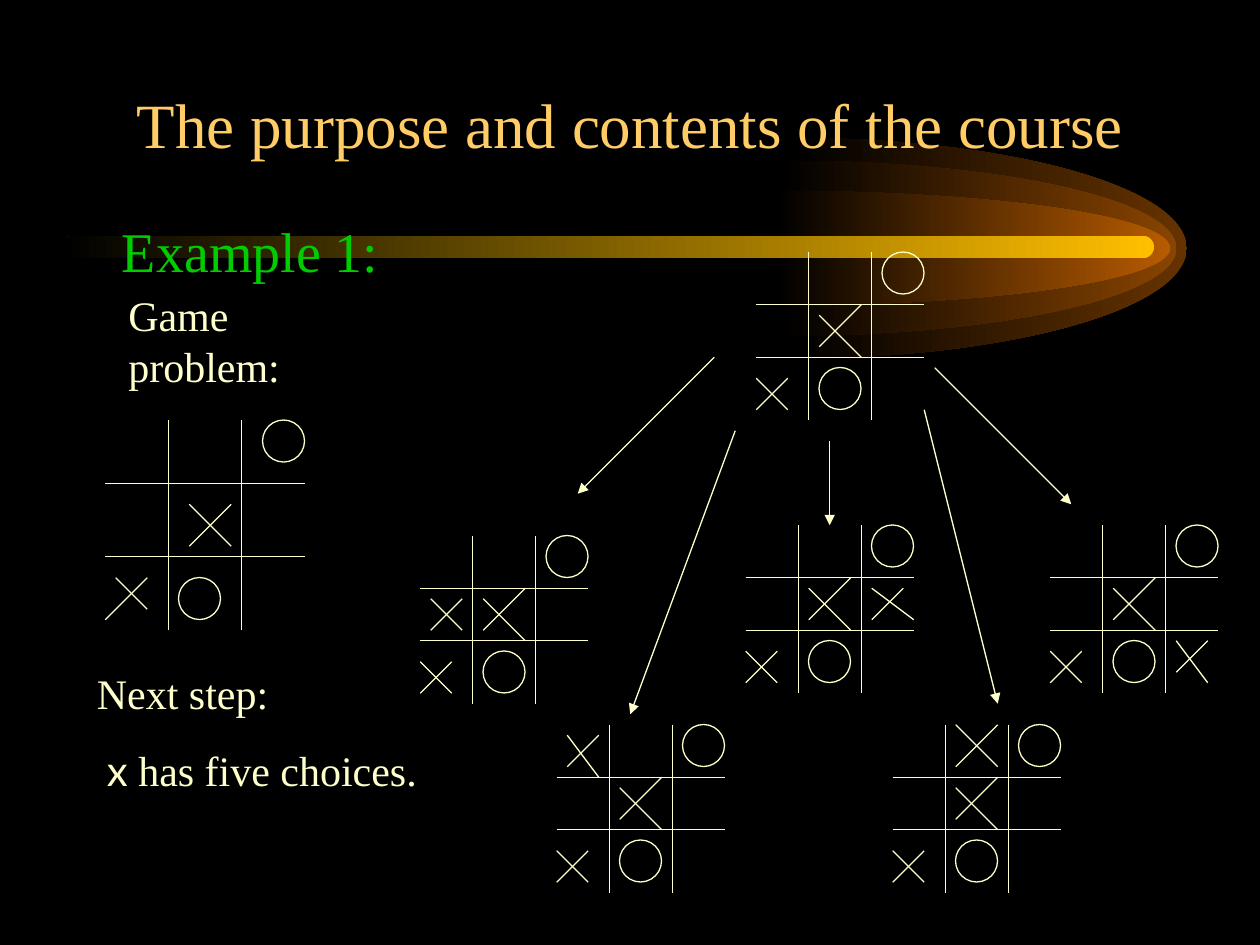
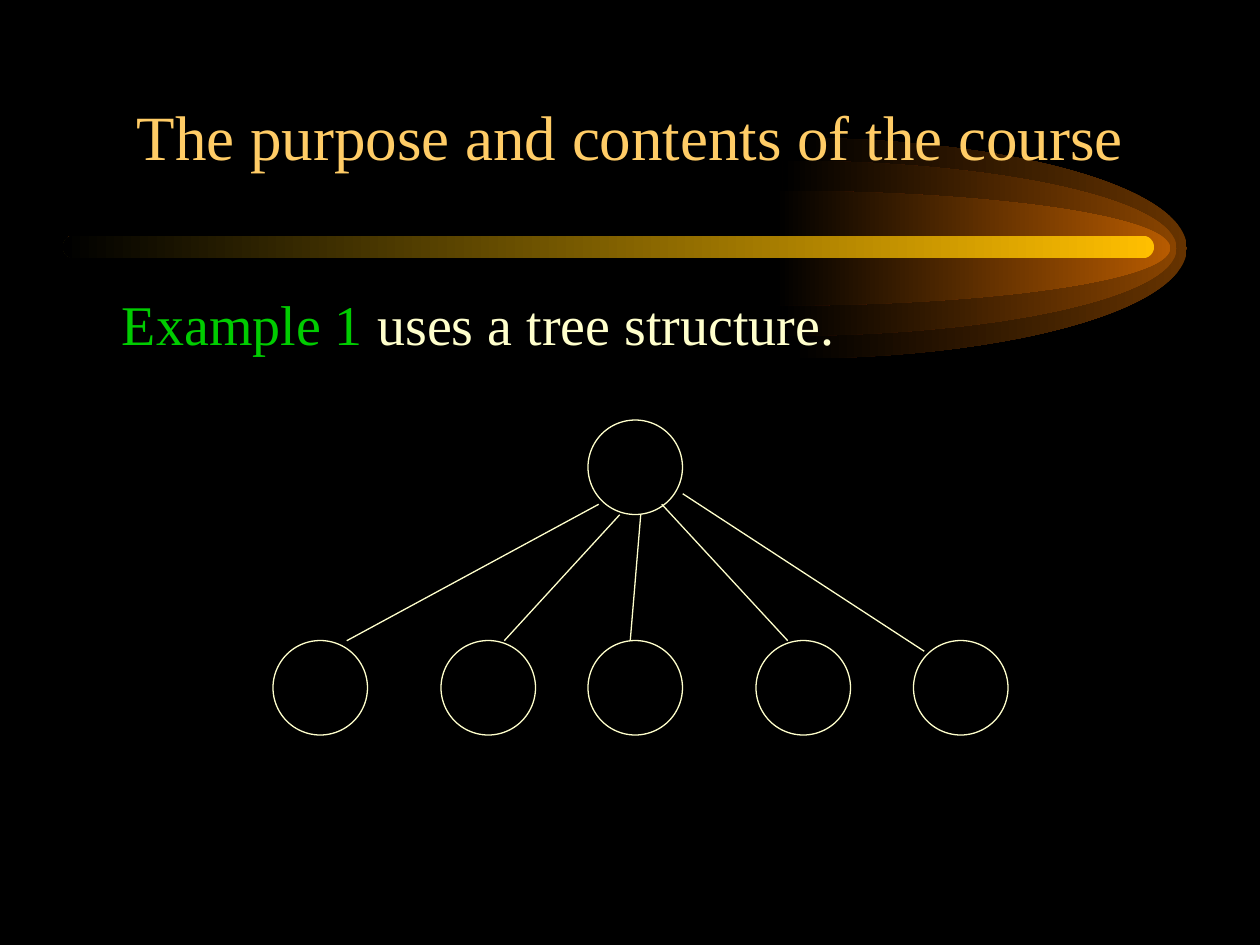
"""Two slides on game trees: tic-tac-toe choices and the tree they form."""
from pptx import Presentation
from pptx.dml.color import RGBColor
from pptx.enum.shapes import MSO_CONNECTOR, MSO_SHAPE
from pptx.enum.text import MSO_ANCHOR, PP_ALIGN
from pptx.oxml.ns import qn
from pptx.util import Inches, Pt
from lxml.etree import SubElement

BLACK = RGBColor(0x00, 0x00, 0x00)
CREAM = RGBColor(0xFF, 0xFF, 0xCC)
GREEN = RGBColor(0x00, 0xCC, 0x00)
TITLE_GOLD = RGBColor(0xFF, 0xCC, 0x66)
BAR_GOLD = RGBColor(0xFF, 0xBF, 0x00)
DARK_BROWN = RGBColor(0x66, 0x33, 0x00)
BROWN = RGBColor(0x89, 0x44, 0x00)
ORANGE = RGBColor(0xB7, 0x5B, 0x00)
SERIF = "Times New Roman"
GRID = Inches(1) / 12
LINE_WIDTH = Pt(0.75)
LINE_NUDGE = Pt(0.15)


def add_line(slide, start_x, start_y, end_x, end_y, arrow=False):
    """Draw a line between two points of the twelfth-inch grid."""
    ends = [round(value * GRID) + LINE_NUDGE for value in (start_x, start_y, end_x, end_y)]
    line = slide.shapes.add_connector(MSO_CONNECTOR.STRAIGHT, *ends)
    line.line.color.rgb = CREAM
    line.line.width = LINE_WIDTH
    properties = line._element.spPr
    if arrow:
        SubElement(properties.find(qn("a:ln")), qn("a:tailEnd"), type="triangle")
    SubElement(properties, qn("a:effectLst"))


def add_circle(slide, left, top, size):
    """Draw an open circle placed on the twelfth-inch grid."""
    box = [round(value * GRID) for value in (left, top, size, size)]
    circle = slide.shapes.add_shape(MSO_SHAPE.OVAL, *box)
    circle.shadow.inherit = False
    circle.fill.background()
    circle.line.color.rgb = CREAM
    circle.line.width = LINE_WIDTH


presentation = Presentation()
presentation.slide_width = Inches(10)
presentation.slide_height = Inches(7.5)

comet_layers = [
    (6.29, 1.75, DARK_BROWN),
    (6.21, 1.39, BROWN),
    (6.16, 0.91, ORANGE),
]
COMET_MIDDLE = 1.97
COMET_LENGTH = 3.13
ARC_PULL = 0.55

slide_texts = [
    (0.08, [
        (0.75, 1.67, 8.5, 4.5, 32, [(0.12, [("Example 1:", SERIF, GREEN)])]),
        (0.67, 5.25, 2.92, 1.11, 24, [
            (0, [("Next step:", SERIF, CREAM)]),
            (0.08, [("x", "Lato", CREAM), (" has five choices.", SERIF, CREAM)]),
        ]),
        (0.92, 2.25, 1.67, 0.9, 24, [(0, [("Game problem:", SERIF, CREAM)])]),
    ]),
    (0.17, [
        (0.75, 2.25, 8.5, 4.5, 32, [
            (0.12, [("Example 1", SERIF, GREEN), (" uses a tree structure.", SERIF, CREAM)]),
        ]),
    ]),
]

for title_top, texts in slide_texts:
    slide = presentation.slides.add_slide(presentation.slide_layouts[6])
    slide.background.fill.solid()
    slide.background.fill.fore_color.rgb = BLACK

    gradient_shapes = []
    for left, height, color in comet_layers:
        top = COMET_MIDDLE - height / 2
        builder = slide.shapes.build_freeform(Inches(left), Inches(top))
        builder.add_line_segments([
            (Inches(left + COMET_LENGTH), Inches(COMET_MIDDLE)),
            (Inches(left), Inches(top + height)),
        ])
        comet = builder.convert_to_shape()
        pull_x = COMET_LENGTH * ARC_PULL
        pull_y = height / 2 * ARC_PULL
        arcs = [
            [(pull_x, 0), (COMET_LENGTH, height / 2 - pull_y), (COMET_LENGTH, height / 2)],
            [(COMET_LENGTH, height / 2 + pull_y), (pull_x, height), (0, height)],
        ]
        outline = next(comet._element.iter(qn("a:path")))
        for segment, arc in zip(outline.findall(qn("a:lnTo")), arcs):
            curve = SubElement(outline, qn("a:cubicBezTo"))
            for x, y in arc:
                SubElement(curve, qn("a:pt"), x=str(Inches(x)), y=str(Inches(y)))
            outline.replace(segment, curve)
        gradient_shapes.append((comet, color))
    bar = slide.shapes.add_shape(
        MSO_SHAPE.ROUNDED_RECTANGLE, Inches(0.5), Inches(1.87), Inches(8.66), Inches(0.18))
    bar.adjustments[0] = 0.5
    gradient_shapes.append((bar, BAR_GOLD))
    for shape, color in gradient_shapes:
        shape.shadow.inherit = False
        shape.line.fill.background()
        shape.fill.gradient()
        shape.fill.gradient_angle = 180
        for stop, stop_color in zip(shape.fill.gradient_stops, (color, BLACK)):
            stop.color.rgb = stop_color

    title = (0.75, title_top, 8.5, 1.25, 36,
             [(0, [("The purpose and contents of the course", SERIF, TITLE_GOLD)])])
    for text in [title, *texts]:
        left, top, width, height, size, paragraphs = text
        box = slide.shapes.add_textbox(Inches(left), Inches(top), Inches(width), Inches(height))
        frame = box.text_frame
        frame.word_wrap = True
        if text is title:
            frame.vertical_anchor = MSO_ANCHOR.BOTTOM
        for index, (indent, runs) in enumerate(paragraphs):
            paragraph = frame.add_paragraph() if index else frame.paragraphs[0]
            if text is title:
                paragraph.alignment = PP_ALIGN.CENTER
            if index:
                paragraph.space_before = Pt(15)
            if indent:
                paragraph._p.get_or_add_pPr().set("marL", str(Inches(indent)))
            for words, font_name, color in runs:
                run = paragraph.add_run()
                run.text = words
                run.font.name = font_name
                run.font.size = Pt(size)
                run.font.color.rgb = color

game_slide, tree_slide = presentation.slides

problem_lines = [
    (0, 6, 19, 6), (0, 13, 19, 13), (6, 0, 6, 20), (13, 0, 13, 20),
    (8, 8, 12, 12), (12, 8, 8, 12), (1, 15, 4, 18), (4, 15, 0, 19),
]
small_lines = [
    (0, 5, 16, 5), (0, 10, 16, 10), (5, 0, 5, 16), (11, 0, 11, 16),
    (6, 6, 10, 10), (10, 5, 6, 9), (0, 12, 3, 15), (3, 12, 0, 15),
]
small_circles = [(12, 0), (6, 11)]
choices = [
    (40, 51, (68, 34, 55, 47), [(1, 6, 4, 9), (4, 6, 1, 9)]),
    (53, 69, (70, 41, 60, 68), [(1, 1, 4, 5), (4, 1, 1, 4)]),
    (85, 69, (88, 39, 95, 67), [(6, 0, 10, 4), (10, 0, 6, 4)]),
    (71, 50, (79, 42, 79, 50), [(12, 6, 16, 9), (15, 6, 12, 9)]),
    (100, 50, (89, 35, 102, 48), [(12, 11, 15, 15), (15, 11, 12, 14)]),
]
boards = [
    (10, 40, problem_lines, [(15, 0), (7, 15)]),
    (72, 24, small_lines, small_circles),
]
for left, top, arrow, new_cross in choices:
    boards.append((left, top, small_lines + new_cross, small_circles))
    add_line(game_slide, *arrow, arrow=True)
for left, top, lines, circles in boards:
    for start_x, start_y, end_x, end_y in lines:
        add_line(game_slide, left + start_x, top + start_y, left + end_x, top + end_y)
    for circle_left, circle_top in circles:
        add_circle(game_slide, left + circle_left, top + circle_top, 4)

NODE_SIZE = 9
add_circle(tree_slide, 56, 40, NODE_SIZE)
branches = [
    (26, (57, 48, 33, 61)),
    (42, (59, 49, 48, 61)),
    (56, (61, 49, 60, 61)),
    (72, (63, 48, 75, 61)),
    (87, (65, 47, 88, 62)),
]
for child_left, branch in branches:
    add_circle(tree_slide, child_left, 61, NODE_SIZE)
    add_line(tree_slide, *branch)

presentation.save("out.pptx")
